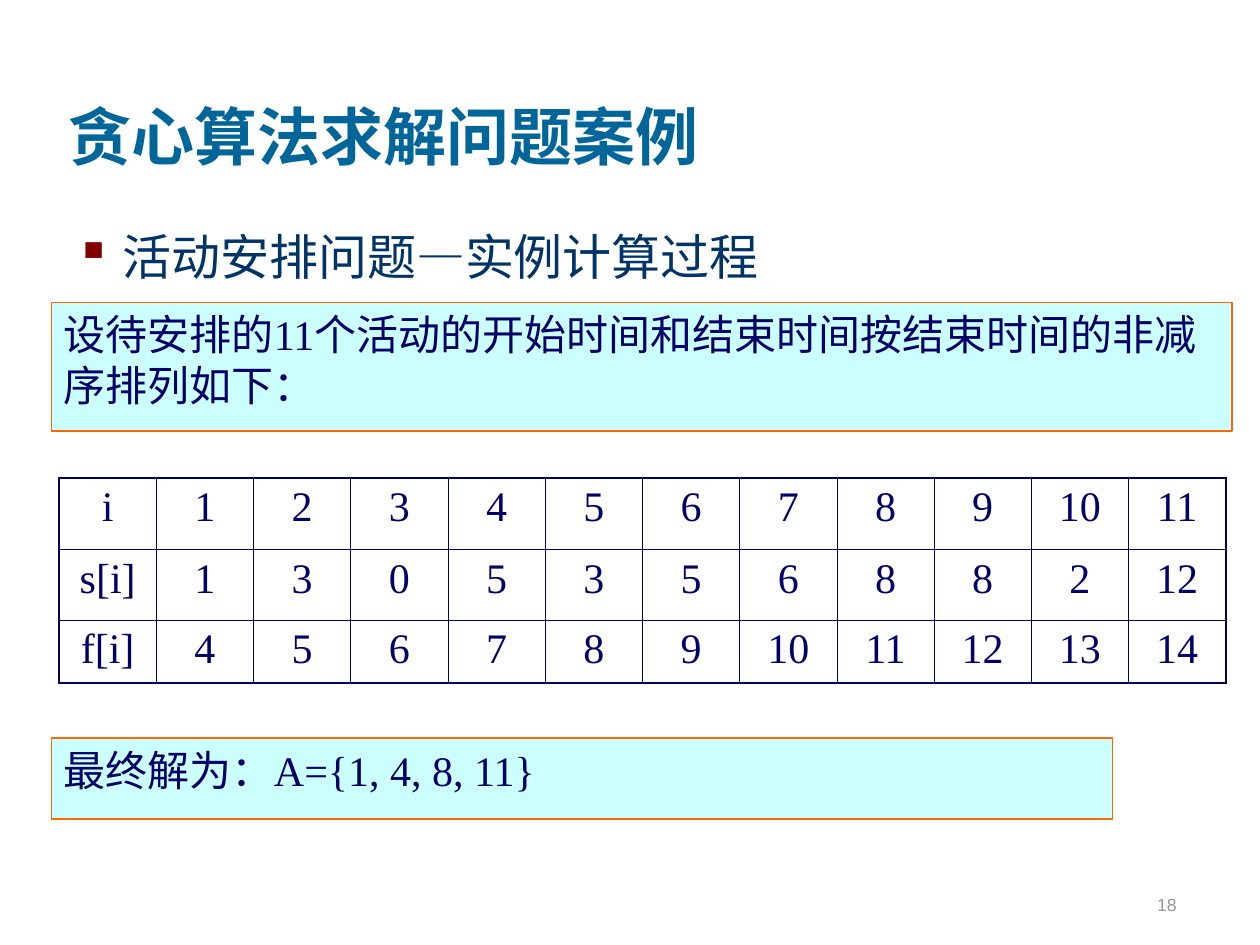
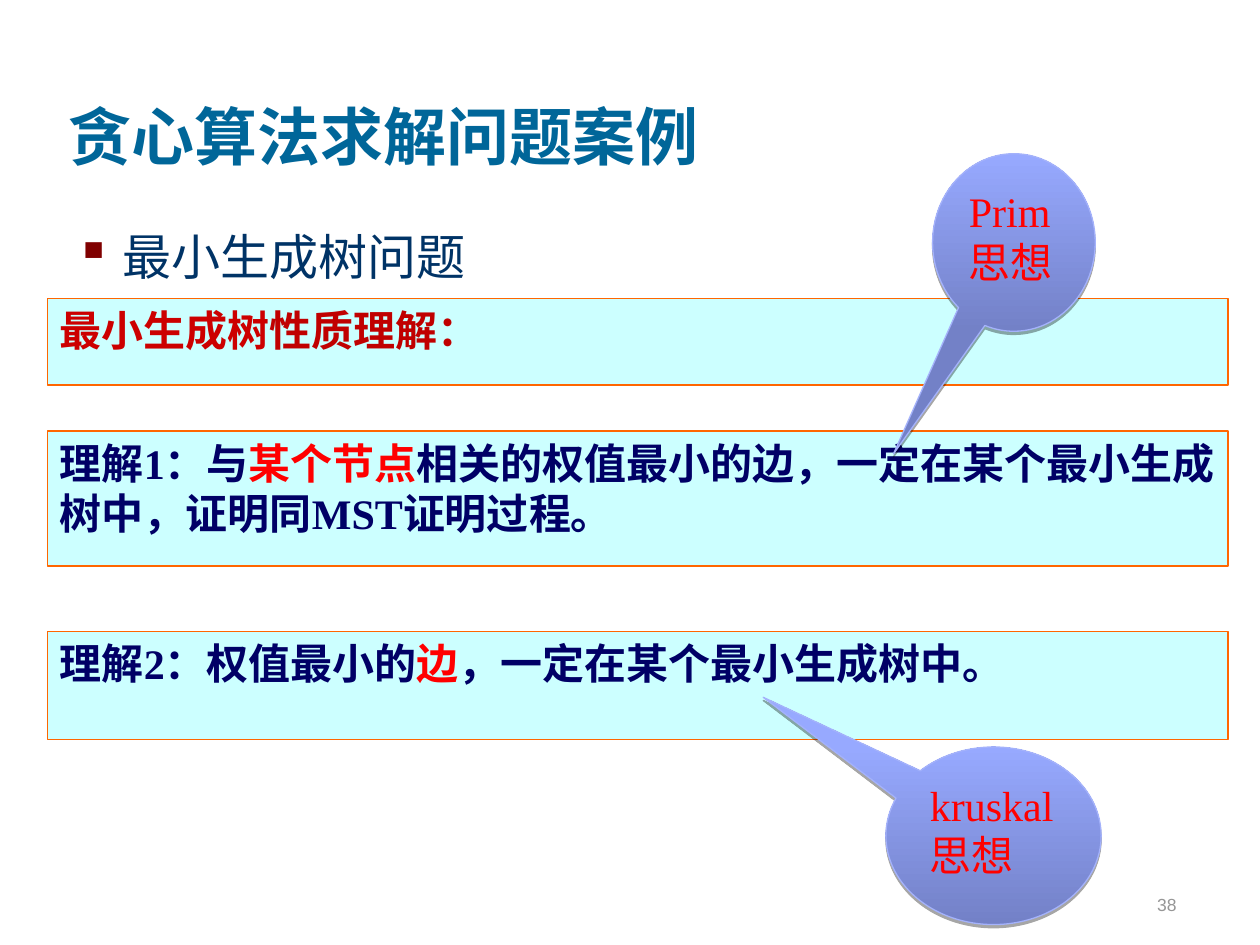
from dataclasses import dataclass

from lxml import etree
from pptx import Presentation
from pptx.dml.color import RGBColor
from pptx.enum.shapes import MSO_SHAPE
from pptx.enum.text import MSO_ANCHOR, MSO_AUTO_SIZE, PP_ALIGN
from pptx.oxml.ns import qn
from pptx.util import Cm, Pt

LEFT, CENTER, RIGHT = PP_ALIGN.LEFT, PP_ALIGN.CENTER, PP_ALIGN.RIGHT
TOP, BOTTOM = MSO_ANCHOR.TOP, MSO_ANCHOR.BOTTOM
RECTANGLE, CALLOUT = MSO_SHAPE.RECTANGLE, MSO_SHAPE.OVAL_CALLOUT
NO_AUTOFIT = MSO_AUTO_SIZE.NONE
TITLE_ONLY = 5


@dataclass(frozen=True)
class Theme:
    serif: str = "Times New Roman"
    heading: str = "Cambria"
    sans: str = "Arial"
    title_size: float = 36
    topic_size: float = 28
    body_size: float = 24
    number_size: float = 10
    title: str = "006699"
    topic: str = "003366"
    bullet: str = "800000"
    body: str = "000066"
    number: str = "969696"
    accent: str = "FF0000"
    property_name: str = "CC0000"
    property_end: str = "C00000"
    box_fill: str = "CCFFFF"
    box_line: str = "FF6600"
    callout_dark: str = "7381C7"
    callout_light: str = "97A9FF"
    callout_line: str = "A4B2FB"
    shadow: str = "000000"
    thick: float = 1.08
    thin: float = 0.45


THEME = Theme()
TITLE = "贪心算法求解问题案例"
ACTIVITIES = [
    ["i", *range(1, 12)],
    ["s[i]", 1, 3, 0, 5, 3, 5, 6, 8, 8, 2, 12],
    ["f[i]", *range(4, 15)],
]


def rgb(color):
    return RGBColor.from_string(color)


def lengths(*values):
    return [Cm(value) for value in values]


def add_xml(parent, tag, **attributes):
    child = etree.SubElement(parent, qn(tag))
    for name, value in attributes.items():
        child.set(name, str(value))
    return child


def write_text(frame, *spans, font=THEME.serif, size=THEME.body_size, color=THEME.body,
               bold=False, align=LEFT, anchor=TOP, before=0):
    """Fill a frame with one paragraph; a span is text or (text, overrides)."""
    frame.word_wrap = True
    frame.auto_size = NO_AUTOFIT
    frame.vertical_anchor = anchor
    para = frame.paragraphs[0]
    para.alignment = align
    para.space_before = Pt(before)
    for item in spans:
        text, changes = (item, {}) if isinstance(item, str) else item
        span = para.add_run()
        span.text = text
        span.font.name = changes.get("font", font)
        span.font.size = Pt(size)
        span.font.bold = bold
        span.font.color.rgb = rgb(changes.get("color", color))
    return para


def add_topic(page, *spans):
    box = page.shapes.add_textbox(*lengths(1.27, 4.45, 22.7, 1.57))
    para = write_text(box.text_frame, *spans, size=THEME.topic_size,
                      color=THEME.topic, before=7)
    settings = para._p.get_or_add_pPr()
    settings.set("marL", str(Cm(0.95)))
    settings.set("indent", str(-Cm(0.95)))
    add_xml(add_xml(settings, "a:buClr"), "a:srgbClr", val=THEME.bullet)
    add_xml(settings, "a:buChar", char="▪")


def add_page(deck, number, *topic):
    page = deck.slides.add_slide(deck.slide_layouts[TITLE_ONLY])
    title = page.shapes.title
    title.left, title.top, title.width, title.height = lengths(1.12, 0.43, 21.59, 3.18)
    write_text(title.text_frame, TITLE, size=THEME.title_size, color=THEME.title,
               bold=True, anchor=BOTTOM)
    add_topic(page, *topic)
    footer = page.shapes.add_textbox(*lengths(18.69, 17.3, 5.28, 1.27))
    write_text(footer.text_frame, str(number), font=THEME.sans, size=THEME.number_size,
               color=THEME.number, align=RIGHT, anchor=BOTTOM, before=6.2)
    return page


def add_box(page, place, *spans, **text_format):
    box = page.shapes.add_shape(RECTANGLE, *lengths(*place))
    box.shadow.inherit = False
    box.fill.solid()
    box.fill.fore_color.rgb = rgb(THEME.box_fill)
    box.line.color.rgb = rgb(THEME.box_line)
    box.line.width = Pt(1)
    write_text(box.text_frame, *spans, **text_format)


def add_callout(page, place, tip, text):
    """Tip is the pointer's end, as shares of the size from the centre."""
    callout = page.shapes.add_shape(CALLOUT, *lengths(*place))
    callout.adjustments[0], callout.adjustments[1] = tip
    callout.fill.gradient()
    callout.fill.gradient_angle = 90
    for stop, color in zip(callout.fill.gradient_stops,
                           (THEME.callout_dark, THEME.callout_light)):
        stop.color.rgb = rgb(color)
    callout.line.color.rgb = rgb(THEME.callout_line)
    callout.line.width = Pt(0.75)
    callout.shadow.inherit = False
    effects = callout.element.spPr.find(qn("a:effectLst"))
    shadow = add_xml(effects, "a:outerShdw", blurRad=0, dist=Pt(1.8),
                     dir=5400000, rotWithShape=0)
    add_xml(add_xml(shadow, "a:srgbClr", val=THEME.shadow), "a:alpha", val=35000)
    write_text(callout.text_frame, text, color=THEME.accent)


def set_borders(cell, outer_sides):
    settings = cell._tc.get_or_add_tcPr()
    for side in "LRTB":
        width = THEME.thick if side in outer_sides else THEME.thin
        line = add_xml(settings, f"a:ln{side}", w=Pt(width))
        add_xml(add_xml(line, "a:solidFill"), "a:srgbClr", val=THEME.body)


def add_activity_table(page, left, top, column_width, row_heights):
    row_count, column_count = len(ACTIVITIES), len(ACTIVITIES[0])
    place = lengths(left, top, column_width * column_count, sum(row_heights))
    table = page.shapes.add_table(row_count, column_count, *place).table
    table.first_row = table.horz_banding = False
    for column in table.columns:
        column.width = Cm(column_width)
    for y, values in enumerate(ACTIVITIES):
        table.rows[y].height = Cm(row_heights[y])
        for x, value in enumerate(values):
            cell = table.cell(y, x)
            edges = {"L": x == 0, "R": x == column_count - 1,
                     "T": y == 0, "B": y == row_count - 1}
            set_borders(cell, [side for side, outer in edges.items() if outer])
            cell.fill.background()
            write_text(cell.text_frame, str(value), align=CENTER, before=6)


def add_activity_page(deck):
    page = add_page(deck, 18, "活动安排问题—", ("实例计算过程", {"font": THEME.heading}))
    add_box(page, (1.04, 6.1, 23.8, 2.59),
            "设待安排的11个活动的开始时间和结束时间按结束时间的非减序排列如下：")
    add_activity_table(page, 1.19, 9.63, 1.96, (1.45, 1.42, 1.27))
    add_box(page, (1.04, 14.88, 21.39, 1.63), "最终解为：A={1, 4, 8, 11}")


def add_spanning_tree_page(deck):
    page = add_page(deck, 38, "最小生成树问题")
    accent = {"color": THEME.accent}
    boxes = [
        (6.02, 1.75, [("最小生成树", {"color": THEME.property_name}),
                      ("性质理解：", {"color": THEME.property_end})]),
        (8.69, 2.72, ["理解1：与", ("某个节点", accent),
                      "相关的权值最小的边，一定在某个最小生成树中，证明同MST证明过程。"]),
        (12.73, 2.18, ["理解2：权值最小的", ("边", accent),
                       "，一定在某个最小生成树中。"]),
    ]
    for top, height, spans in boxes:
        add_box(page, (0.96, top, 23.8, height), *spans, bold=True)
    add_callout(page, (18.8, 3.1, 3.28, 3.58), (-0.74, 1.19), "Prim思想")
    add_callout(page, (17.86, 15.06, 4.34, 3.58), (-1.07, -0.78), "kruskal思想")


def main():
    deck = Presentation()
    deck.slide_width, deck.slide_height = lengths(25.4, 19.05)
    add_activity_page(deck)
    add_spanning_tree_page(deck)
    deck.save("out.pptx")


if __name__ == "__main__":
    main()
